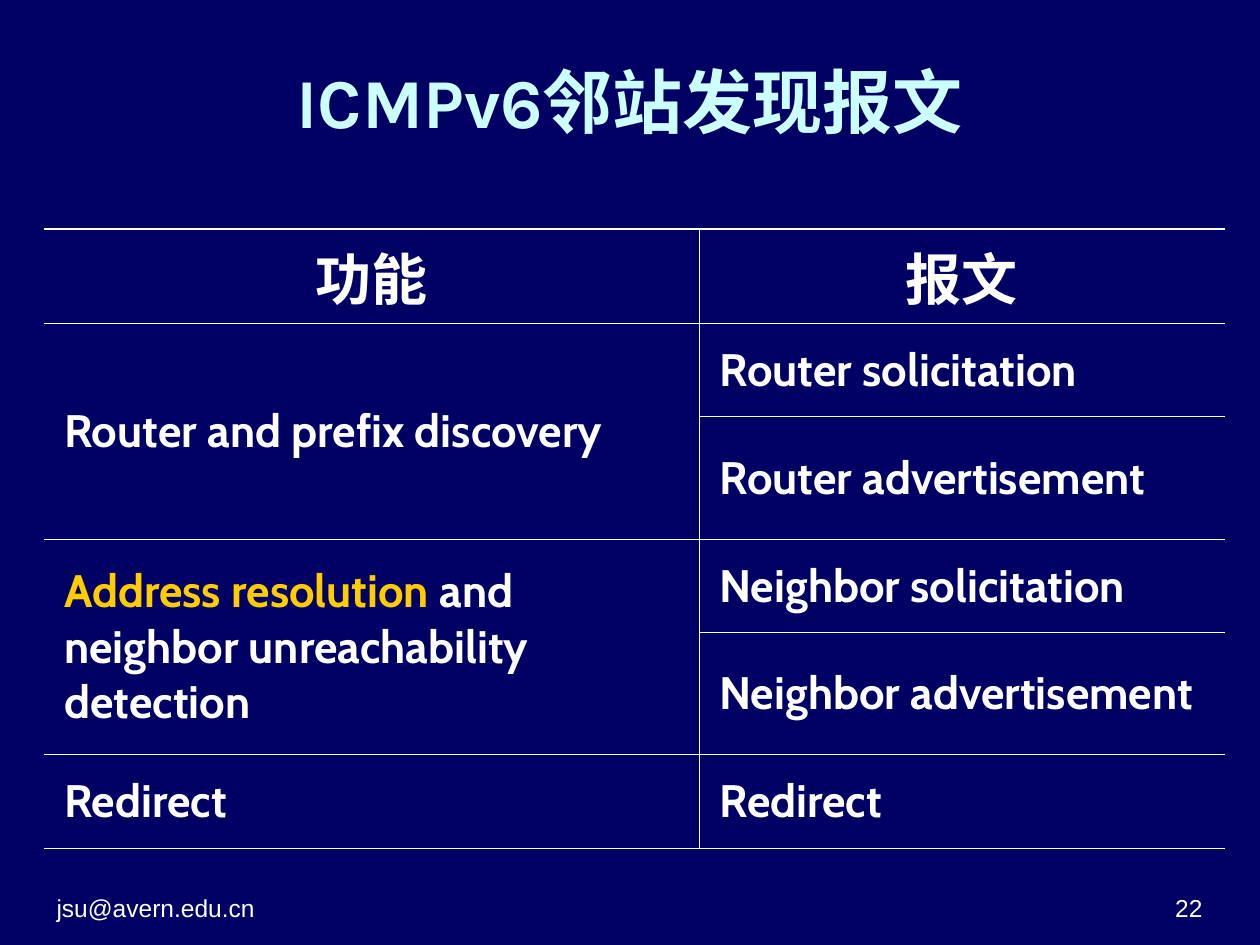
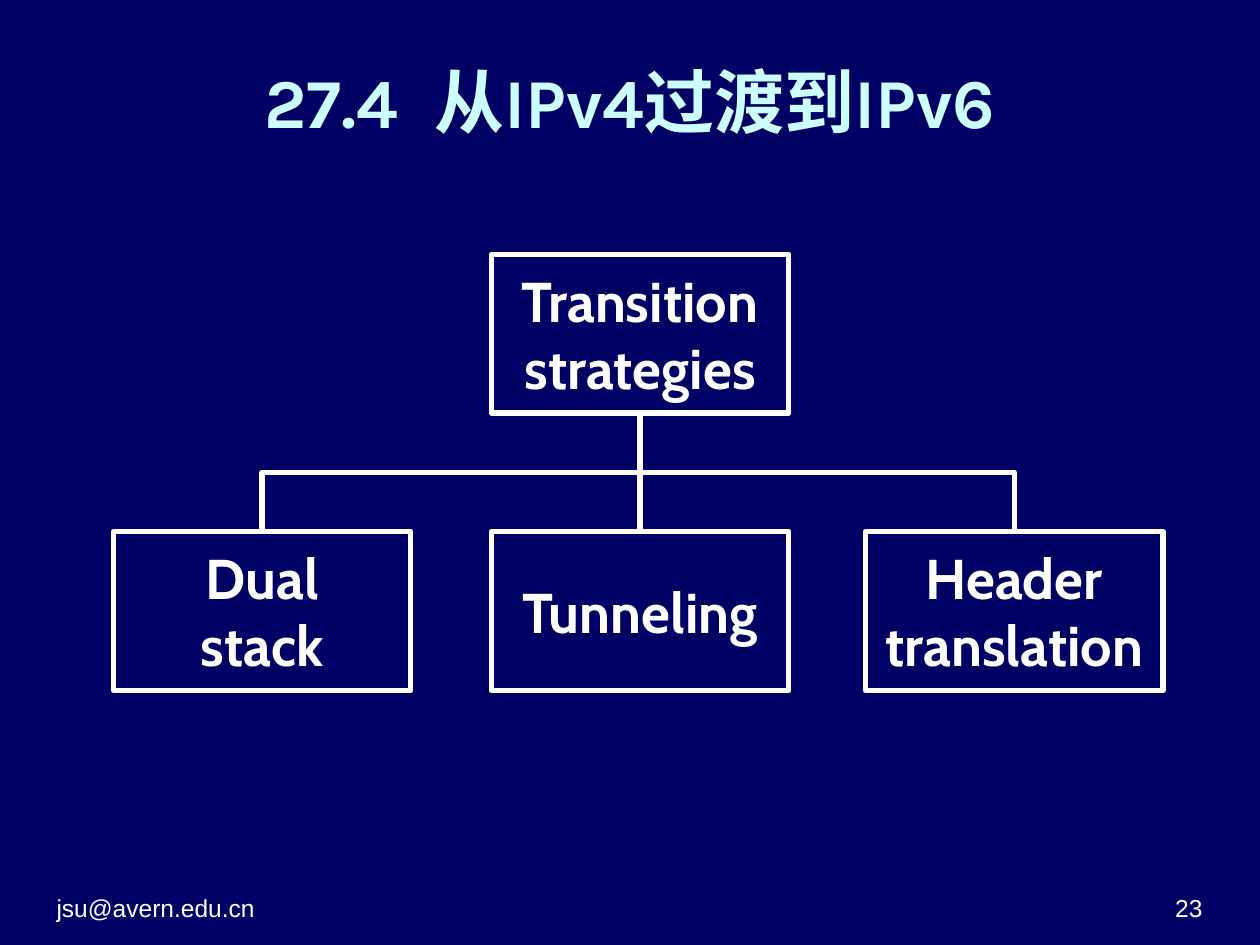
from pptx import Presentation
from pptx.dml.color import RGBColor
from pptx.enum.shapes import MSO_CONNECTOR as CONN, MSO_SHAPE as SHAPE
from pptx.enum.text import MSO_ANCHOR as ANCHOR, PP_ALIGN as ALIGN
from pptx.oxml.ns import qn
from pptx.util import Pt
from lxml import etree

NAVY = RGBColor(0x00, 0x00, 0x64)
ICE = RGBColor(0xCC, 0xFF, 0xFF)
WHITE = RGBColor(0xFF, 0xFF, 0xFF)
GOLD = RGBColor(0xFF, 0xCC, 0x00)

MARGIN = 25.2
CONTENT_W = 669
FOOTER_W = 168
BOX_W, BOX_H = 170, 90.7
ROOT_TOP, CHILD_TOP = 145.4, 303.8
CHILD_LEFTS = (64.8, 280.8, 494.6)


def write_text(tf, *paragraphs, font="Cabin", size=32, color=WHITE, bold=True,
               align=ALIGN.CENTER, before=0):
    for i, runs in enumerate(paragraphs):
        p = tf.paragraphs[0] if i == 0 else tf.add_paragraph()
        p.alignment = align
        p.space_before = Pt(before)
        for run in [runs] if isinstance(runs, str) else runs:
            text, options = (run, {}) if isinstance(run, str) else run
            r = p.add_run()
            r.text = text
            r.font.name = font
            r.font.size = Pt(size)
            r.font.bold = bold
            r.font.color.rgb = options.get("color", color)
            if "spacing" in options:
                r.font._element.set("spc", str(options["spacing"] * 100))


def add_text_box(s, left, top, width, height, *paragraphs,
                 anchor=ANCHOR.MIDDLE, **text_format):
    sp = s.shapes.add_textbox(Pt(left), Pt(top), Pt(width), Pt(height))
    tf = sp.text_frame
    tf.word_wrap = True
    tf.vertical_anchor = anchor
    write_text(tf, *paragraphs, **text_format)


def add_base_slide(prs, title, number):
    s = prs.slides.add_slide(prs.slide_layouts[6])
    s.background.fill.solid()
    s.background.fill.fore_color.rgb = NAVY
    footers = (("jsu@avern.edu.cn", MARGIN, ALIGN.LEFT),
               (str(number), MARGIN + CONTENT_W - FOOTER_W, ALIGN.RIGHT))
    for text, left, align in footers:
        add_text_box(s, left, 496.8, FOOTER_W, 33.8, text, anchor=ANCHOR.BOTTOM,
                     font="Arial", size=14, bold=False, align=align)
    add_text_box(s, MARGIN, 9.4, CONTENT_W, 96.5, title,
                 font="Karla", size=40, color=ICE)
    return s


def set_borders(cell, **widths):
    tc_pr = cell._tc.get_or_add_tcPr()
    for i, side in enumerate("LRTB"):
        width = widths.get(side, 0)
        ln = etree.Element(qn(f"a:ln{side}"), w=str(Pt(width)))
        if width:
            fill = etree.SubElement(ln, qn("a:solidFill"))
            etree.SubElement(fill, qn("a:srgbClr"), val=str(WHITE))
        else:
            etree.SubElement(ln, qn("a:noFill"))
        tc_pr.insert(i, ln)


def add_message_table(s, rows, col_widths, row_heights, merged_rows):
    frame = s.shapes.add_table(len(rows), len(col_widths), Pt(MARGIN), Pt(131),
                               Pt(sum(col_widths)), Pt(sum(row_heights)))
    table = frame.table
    table.first_row = table.horz_banding = False
    for column, width in zip(table.columns, col_widths):
        column.width = Pt(width)
    for row, height in zip(table.rows, row_heights):
        row.height = Pt(height)
    for top in merged_rows:
        table.cell(top, 0).merge(table.cell(top + 1, 0))
    for i, row in enumerate(rows):
        for j, runs in enumerate(row):
            cell = table.cell(i, j)
            cell.fill.background()
            cell.vertical_anchor = ANCHOR.MIDDLE
            inner = {"R": 0.45} if j == 0 else {"L": 0.45}
            set_borders(cell, T=0.45 if i else 1.08, B=0.45, **inner)
            if i == 0:
                write_text(cell.text_frame, runs, before=12)
            elif runs:
                cell.margin_left, cell.margin_right = Pt(11.5), Pt(2.9)
                write_text(cell.text_frame, runs, size=26, align=ALIGN.LEFT, before=9.8)


def add_box(s, left, top, *lines):
    sp = s.shapes.add_shape(SHAPE.RECTANGLE, Pt(left), Pt(top), Pt(BOX_W), Pt(BOX_H))
    sp.shadow.inherit = False
    sp.fill.background()
    sp.line.color.rgb = WHITE
    sp.line.width = Pt(3)
    sp.text_frame.word_wrap = False
    sp.text_frame.vertical_anchor = ANCHOR.MIDDLE
    write_text(sp.text_frame, *lines)
    return sp


def add_line(s, kind, x1, y1, x2, y2):
    line = s.shapes.add_connector(kind, Pt(x1), Pt(y1), Pt(x2), Pt(y2))
    line.line.color.rgb = WHITE
    line.line.width = Pt(3)
    etree.SubElement(line._element.spPr, qn("a:effectLst"))
    return line


def add_elbow(s, child_x, child_y, root_x, root_y):
    cx, cy = (child_x + root_x) / 2, (child_y + root_y) / 2
    half_w = abs(root_x - child_x) / 2
    half_h = (child_y - root_y) / 2
    side = 1 if child_x < root_x else -1
    line = add_line(s, CONN.ELBOW, cx + side * half_h, cy + half_w,
                    cx - side * half_h, cy - half_w)
    angle = 90 if side == 1 else 270
    line._element.spPr.find(qn("a:xfrm")).set("rot", str(angle * 60000))


def build_messages(prs):
    s = add_base_slide(prs, "ICMPv6邻站发现报文", 22)
    resolution = [("Address resolution", {"color": GOLD}),
                  " and neighbor unreachability detection"]
    rows = [("功能", "报文"),
            ("Router and prefix discovery", "Router solicitation"),
            ("", "Router advertisement"),
            (resolution, "Neighbor solicitation"),
            ("", "Neighbor advertisement"),
            ("Redirect", "Redirect")]
    add_message_table(s, rows, (374.4, 300.2), (53.6, 53.6, 69.8, 53.6, 69.8, 53.6), (1, 3))


def build_transition(prs):
    title = ["27.4", (" ", {"spacing": 11}), "从IPv4过渡到IPv6"]
    s = add_base_slide(prs, title, 23)
    root = add_box(s, CHILD_LEFTS[1], ROOT_TOP, "Transition", "strategies")
    labels = (("Dual", "stack"), ("Tunneling",), ("Header", "translation"))
    children = [add_box(s, left, CHILD_TOP, *lines)
                for left, lines in zip(CHILD_LEFTS, labels)]
    root_x, root_y = CHILD_LEFTS[1] + BOX_W / 2, ROOT_TOP + BOX_H
    for left, child in zip(CHILD_LEFTS, children):
        child_x = left + BOX_W / 2
        if child_x == root_x:
            line = add_line(s, CONN.STRAIGHT, child_x, CHILD_TOP, root_x, root_y)
            line.begin_connect(child, 0)
            line.end_connect(root, 2)
        else:
            add_elbow(s, child_x, CHILD_TOP, root_x, root_y)


def main():
    prs = Presentation()
    prs.slide_width, prs.slide_height = Pt(720), Pt(540)
    build_messages(prs)
    build_transition(prs)
    prs.save("out.pptx")


if __name__ == "__main__":
    main()
